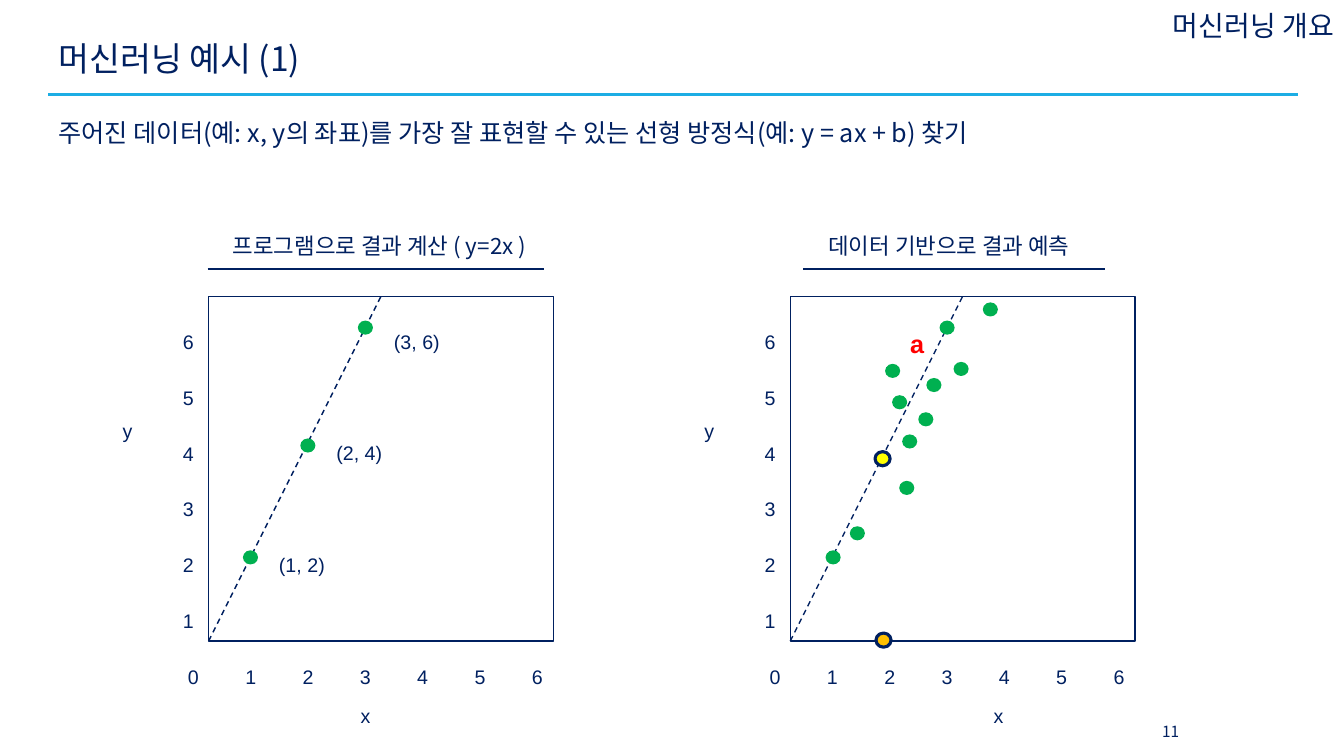
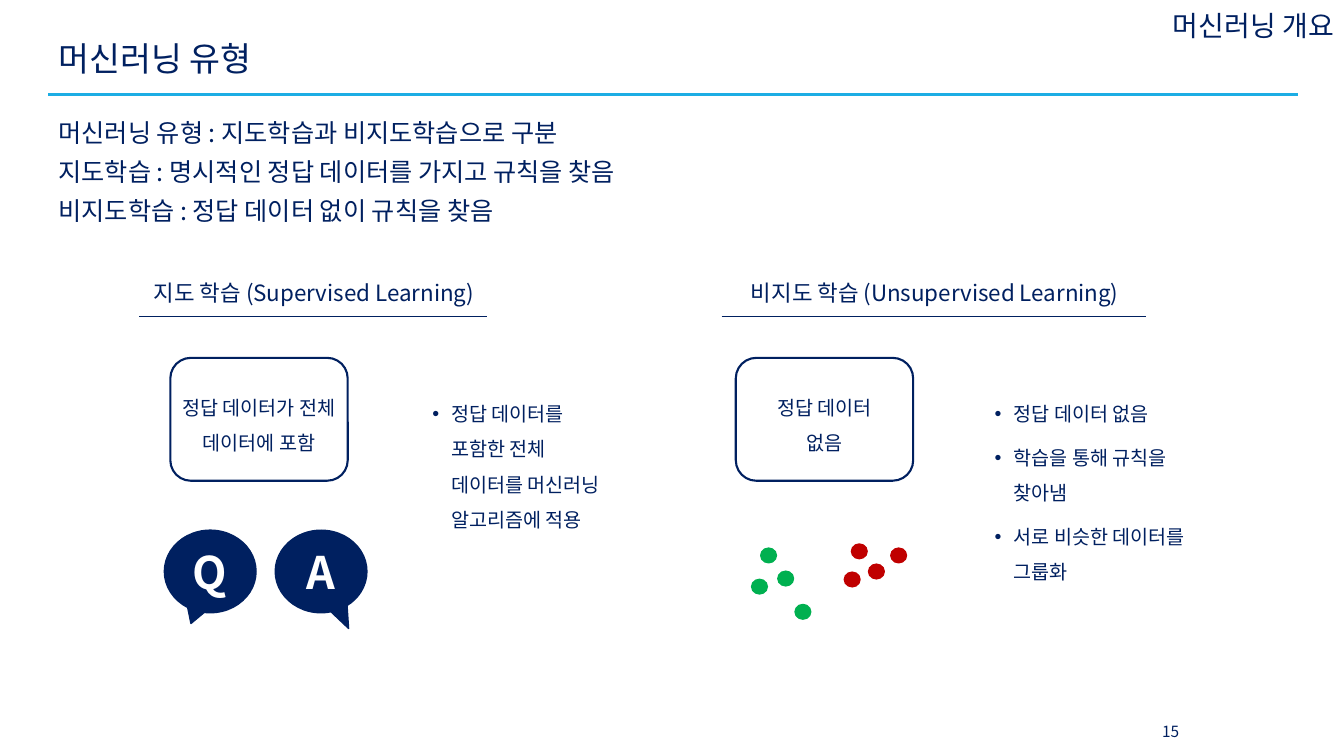
from lxml import etree
from pptx import Presentation
from pptx import util as u
from pptx.dml.color import RGBColor
from pptx.enum import dml, shapes, text
from pptx.oxml.ns import qn

COLORS = {"navy": "002060", "sky": "1CADE4", "green": "00B050", "crimson": "C00000",
          "red": "FF0000", "yellow": "FFFF00", "orange": "FFC000", "white": "FFFFFF"}
KOREAN, LATIN = "Noto Sans CJK KR", "Arial"
LEFT, CENTER, RIGHT = text.PP_ALIGN.LEFT, text.PP_ALIGN.CENTER, text.PP_ALIGN.RIGHT
TOP, MIDDLE = text.MSO_ANCHOR.TOP, text.MSO_ANCHOR.MIDDLE
SHAPE = shapes.MSO_SHAPE
PLAIN_INSETS = (7.2, 3.6, 7.2, 3.6)
LABEL_INSETS = (7.2, 8.64, 7.2, 3.6)
MARGIN, CONTENT_WIDTH = 34.56, 892.8


def color(name):
    return RGBColor.from_string(COLORS[name])


class Deck:
    def __init__(self):
        self.presentation = Presentation()
        self.presentation.slide_width = u.Pt(960)
        self.presentation.slide_height = u.Pt(540)
        self.slide = None

    def add_slide(self, title, lines, number):
        self.slide = self.presentation.slides.add_slide(self.presentation.slide_layouts[1])
        self.line((MARGIN, 67.68), (MARGIN + CONTENT_WIDTH, 67.68), "sky", 2.25)
        self.placeholder(0, 20.88, 45.36, [title], anchor=MIDDLE, size=24, spacing=0.9)
        self.placeholder(1, 73.44, 90.72, lines, size=18, spacing=1.3)
        self.textbox((813.6, 508.3, 45.36, 28.8), [str(number)], anchor=MIDDLE,
                     align=CENTER, size=11)
        self.textbox((666.7, 2.9, 293.3, 31), ["머신러닝 개요"], anchor=MIDDLE,
                     align=RIGHT, size=20)

    def placeholder(self, index, top, height, lines, **style):
        shape = self.slide.placeholders[index]
        shape.left, shape.top = u.Pt(MARGIN), u.Pt(top)
        shape.width, shape.height = u.Pt(CONTENT_WIDTH), u.Pt(height)
        self.set_text(shape, lines, **style)

    def set_text(self, shape, lines, size=14, font=KOREAN, ink="navy", bold=False, align=LEFT,
                 anchor=TOP, spacing=1.0, gap=0, insets=PLAIN_INSETS, bullet=False):
        frame = shape.text_frame
        frame.word_wrap = True
        frame.auto_size = text.MSO_AUTO_SIZE.NONE
        frame.vertical_anchor = anchor
        (frame.margin_left, frame.margin_top,
         frame.margin_right, frame.margin_bottom) = map(u.Pt, insets)
        frame.text = "\n".join(lines)
        for index, paragraph in enumerate(frame.paragraphs):
            paragraph.alignment = align
            paragraph.line_spacing = spacing
            paragraph.space_before = u.Pt(gap if index else 0)
            self.set_bullet(paragraph, bullet)
            paragraph.font.size = u.Pt(size)
            paragraph.font.bold = bold
            paragraph.font.color.rgb = color(ink)
            paragraph.font.name = font
            defaults = paragraph._p.pPr.find(qn("a:defRPr"))
            etree.SubElement(defaults, qn("a:ea"), typeface=KOREAN)

    def set_bullet(self, paragraph, bullet):
        properties = paragraph._p.get_or_add_pPr()
        indent = u.Pt(13.5) if bullet else 0
        properties.set("marL", str(indent))
        properties.set("indent", str(-indent))
        if bullet:
            etree.SubElement(properties, qn("a:buFont"), typeface=LATIN)
            etree.SubElement(properties, qn("a:buChar"), char="•")
        else:
            etree.SubElement(properties, qn("a:buNone"))

    def textbox(self, box, lines, **style):
        self.set_text(self.slide.shapes.add_textbox(*map(u.Pt, box)), lines, **style)

    def label(self, box, words, **style):
        options = dict(font=LATIN, align=CENTER, spacing=1.5, insets=LABEL_INSETS)
        self.textbox(box, [words], **(options | style))

    def line(self, start, end, ink="navy", width=1, dashed=False):
        connector = self.slide.shapes.add_connector(
            shapes.MSO_CONNECTOR.STRAIGHT, *map(u.Pt, start + end))
        connector.line.color.rgb = color(ink)
        connector.line.width = u.Pt(width)
        if dashed:
            connector.line.dash_style = dml.MSO_LINE.DASH
        etree.SubElement(connector._element.spPr, qn("a:effectLst"))

    def shape(self, kind, box, fill=None, outline=None, width=1):
        shape = self.slide.shapes.add_shape(kind, *map(u.Pt, box))
        shape.shadow.inherit = False
        if fill:
            shape.fill.solid()
            shape.fill.fore_color.rgb = color(fill)
        else:
            shape.fill.background()
        if outline:
            shape.line.color.rgb = color(outline)
            shape.line.width = u.Pt(width)
        else:
            shape.line.fill.background()
        return shape

    def dots(self, points, size, fill="green", outline=None, origin=(0, 0)):
        for x, y in points:
            self.shape(SHAPE.OVAL, (origin[0] + x, origin[1] + y, *size), fill, outline, 2.25)

    def heading(self, words, center, top, underline):
        """Centred heading over a rule that runs between two x positions."""
        self.textbox((center - 162, top, 324, 31), [words], anchor=MIDDLE, align=CENTER, size=16)
        self.line((underline[0], top + 32.4), (underline[1], top + 32.4))

    def plot(self, origin, side, x_name_offset):
        """Square plot with numbered axes and the dashed line y = 2x."""
        left, top = origin
        bottom = top + side
        self.line((left, bottom), (left + side / 2, top), dashed=True)
        self.shape(SHAPE.RECTANGLE, (left, top, side, side), outline="navy")
        for tick in range(7):
            self.label((left - 25.2 + 40.93 * tick, bottom, 28.8, 29.5), str(tick))
            if tick:
                self.label((left - 28.8, bottom - 39.9 * tick, 28.8, 29.5), str(tick))
        self.label((left - 68.4, top + 70.6, 58.3, 34.6), "y", align=LEFT)
        self.label((left + x_name_offset, bottom + 28.1, 58.3, 34.6), "x", align=LEFT)

    def card(self, left, lines):
        shape = self.shape(SHAPE.ROUNDED_RECTANGLE, (left, 255.6, 126.7, 87.8),
                           outline="navy", width=1.5)
        self.set_text(shape, lines, align=CENTER, anchor=MIDDLE, spacing=1.5,
                      insets=(2.88, 3.6, 2.88, 3.6))

    def callout(self, left, letter, tail):
        shape = self.shape(SHAPE.OVAL_CALLOUT, (left, 378.7, 65.5, 59), "navy", "navy")
        for index, value in enumerate(tail):
            shape.adjustments[index] = value
        self.set_text(shape, [letter], size=32, ink="white", bold=True, align=CENTER,
                      anchor=MIDDLE)

    def bullets(self, left, width, lines):
        self.textbox((left, 270, width, 148), lines, font=LATIN, spacing=1.5, gap=6,
                     insets=LABEL_INSETS, bullet=True)


def example_slide(deck):
    deck.add_slide("머신러닝 예시 (1)", [
        "주어진 데이터(예: x, y의 좌표)를 가장 잘 표현할 수 있는 선형 방정식(예: y = ax + b) 찾기"], 11)
    side, dot = 246.2, (10.8, 10.08)
    computed, predicted = (149, 211.7), (564.5, 211.7)

    deck.heading("프로그램으로 결과 계산 ( y=2x )", 271.1, 159.8, (148.3, 388.8))
    deck.plot(computed, side, 101.5)
    exact_points = {"(1, 2)": (24.5, 181.4), "(2, 4)": (65.5, 101.5), "(3, 6)": (106.6, 17.3)}
    deck.dots(exact_points.values(), dot, origin=computed)
    for (words, (x, _)), y in zip(exact_points.items(), (166.3, 86.4, 7.2)):
        deck.label((computed[0] + x + 17, computed[1] + y, 50.4, 34.6), words)

    deck.heading("데이터 기반으로 결과 예측", 677.9, 159.8, (573.8, 789.1))
    deck.plot(predicted, side, 138.2)
    deck.dots([(25.2, 181.4), (42.5, 164.2), (77.8, 131.8), (79.9, 98.6), (91.4, 82.8),
               (72.7, 70.6), (97.2, 58.3), (67.7, 48.2), (116.6, 46.8), (106.6, 17.3),
               (137.5, 4.3)], dot, origin=predicted)
    deck.dots([(60.5, 110.9)], dot, "yellow", "navy", predicted)
    deck.dots([(61.2, 240.5)], dot, "orange", "navy", predicted)
    deck.label((630, 215.3, 50.4, 41), "a", size=18, ink="red", bold=True)


def types_slide(deck):
    deck.add_slide("머신러닝 유형", [
        "머신러닝 유형 : 지도학습과 비지도학습으로 구분",
        "지도학습 : 명시적인 정답 데이터를 가지고 규칙을 찾음",
        "비지도학습 : 정답 데이터 없이 규칙을 찾음"], 15)

    deck.heading("지도 학습 (Supervised Learning)", 224.3, 193.7, (99.4, 347.8))
    deck.card(121.7, ["정답 데이터가 전체 데이터에 포함"])
    deck.bullets(301.7, 145.4, ["정답 데이터를 포함한 전체 데이터를 머신러닝 알고리즘에 적용"])
    deck.callout(117.4, "Q", (-0.21, 0.63))
    deck.callout(196.6, "A", (0.3, 0.69))

    deck.heading("비지도 학습 (Unsupervised Learning)", 667.8, 193.7, (515.5, 818.6))
    deck.card(525.6, ["정답 데이터", "없음"])
    deck.bullets(703.4, 169.9, ["정답 데이터 없음", "학습을 통해 규칙을 찾아냄",
                                "서로 비슷한 데이터를 그룹화"])
    dot = (12.24, 11.52)
    deck.dots([(542.9, 391), (555.1, 407.5), (536.4, 413.3), (567.4, 431.3)], dot)
    deck.dots([(607.7, 388.1), (619.9, 402.5), (602.6, 408.2), (635.8, 391)], dot, "crimson")


def main():
    deck = Deck()
    example_slide(deck)
    types_slide(deck)
    deck.presentation.save("out.pptx")


if __name__ == "__main__":
    main()
